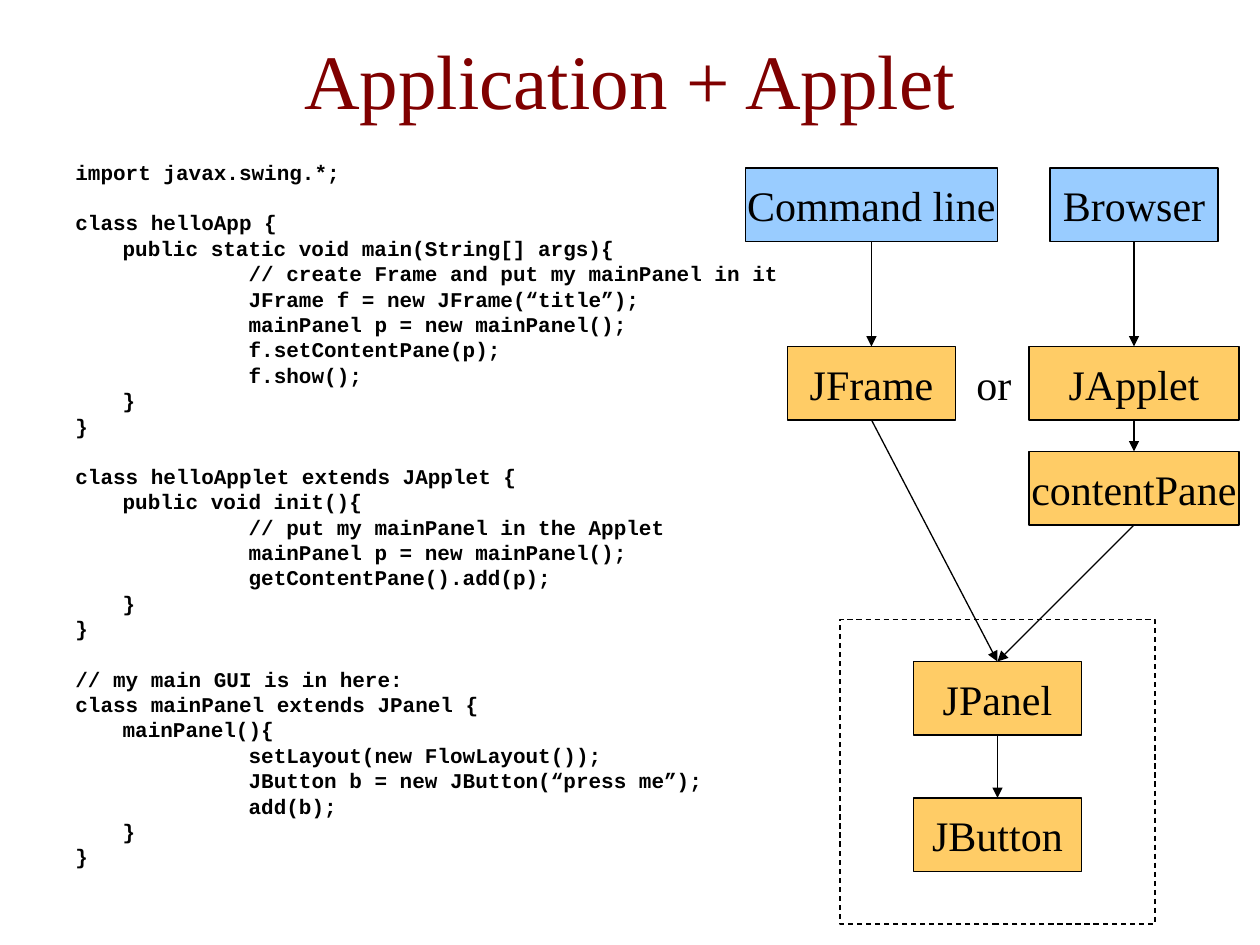
import pptx
import pptx.util
import pptx.dml.color
import pptx.enum.dml
import pptx.enum.shapes
import pptx.enum.text
import pptx.oxml
import pptx.oxml.ns

Pt = pptx.util.Pt
RGBColor = pptx.dml.color.RGBColor
PP_ALIGN = pptx.enum.text.PP_ALIGN
MSO_ANCHOR = pptx.enum.text.MSO_ANCHOR

MAROON = RGBColor(0x80, 0x00, 0x00)
BLACK = RGBColor(0x00, 0x00, 0x00)
ORANGE = RGBColor(0xFF, 0xCC, 0x66)
BLUE = RGBColor(0x99, 0xCC, 0xFF)

TITLE_FONT = {"name": "Times New Roman", "size": Pt(44)}
LABEL_FONT = {"name": "Times New Roman", "size": Pt(24)}
CODE_FONT = {"name": "Courier New", "size": Pt(12), "bold": True}

NODE_HEIGHT = 42
BLOCK_GAP = 17.2
LINE_GAP = 3
CODE_INDENT = {"marL": Pt(27), "indent": Pt(-27), "defTabSz": Pt(72)}

CODE_BLOCKS = [
    "import javax.swing.*;",
    """class helloApp {
\tpublic static void main(String[] args){
\t\t// create Frame and put my mainPanel in it
\t\tJFrame f = new JFrame(“title”);
\t\tmainPanel p = new mainPanel();
\t\tf.setContentPane(p);
\t\tf.show();
\t}
}""",
    """class helloApplet extends JApplet {
\tpublic void init(){
\t\t// put my mainPanel in the Applet
\t\tmainPanel p = new mainPanel();
\t\tgetContentPane().add(p);
\t}
}""",
    """// my main GUI is in here:
class mainPanel extends JPanel {
\tmainPanel(){
\t\tsetLayout(new FlowLayout());
\t\tJButton b = new JButton(“press me”);
\t\tadd(b);
\t}
}""",
]

# name: (centre, top, width, fill)
NODES = {
    "Command line": (72, 0, 144, BLUE),
    "Browser": (222, 0, 96, BLUE),
    "JFrame": (72, 102, 96, ORANGE),
    "JApplet": (222, 102, 120, ORANGE),
    "contentPane": (222, 162, 120, ORANGE),
    "JPanel": (144, 282, 96, ORANGE),
    "JButton": (144, 360, 96, ORANGE),
}
FLOWS = [
    ("Command line", "JFrame"),
    ("Browser", "JApplet"),
    ("JApplet", "contentPane"),
    ("JFrame", "JPanel"),
    ("contentPane", "JPanel"),
    ("JPanel", "JButton"),
]


def apply_format(target, values):
    """Set each named attribute of the target."""
    for attribute, value in values.items():
        setattr(target, attribute, value)


def write_line(paragraph, wording, font, color, **layout):
    """Write one formatted run into a paragraph."""
    apply_format(paragraph, layout)
    run = paragraph.add_run()
    run.text = wording
    apply_format(run.font, font)
    run.font.color.rgb = color


def add_text_area(slide, box, **frame_format):
    """Add a text box and return its text frame."""
    frame = slide.shapes.add_textbox(*map(Pt, box)).text_frame
    apply_format(frame, frame_format)
    return frame


def add_title(slide, box):
    """Place the centred slide title in the box."""
    title = add_text_area(slide, box, word_wrap=True, vertical_anchor=MSO_ANCHOR.MIDDLE)
    write_line(title.paragraphs[0], "Application + Applet", TITLE_FONT, MAROON,
               alignment=PP_ALIGN.CENTER)


def set_code_indent(paragraph):
    """Give a code line its hanging indent and tab stops."""
    properties = paragraph._p.get_or_add_pPr()
    for attribute, length in CODE_INDENT.items():
        properties.set(attribute, str(length))
    stops = "".join(f'<a:tab pos="{Pt(72 * inch)}" algn="l"/>' for inch in range(8))
    properties.append(pptx.oxml.parse_xml(
        f"<a:tabLst {pptx.oxml.ns.nsdecls('a')}>{stops}</a:tabLst>"))


def add_code(slide, box):
    """Place the code listing in the box, with a gap between blocks."""
    listing = add_text_area(slide, box, word_wrap=True)
    paragraph = listing.paragraphs[0]
    for block_index, block in enumerate(CODE_BLOCKS):
        for line_index, code_line in enumerate(block.split("\n")):
            starts_block = block_index > 0 and line_index == 0
            if block_index or line_index:
                paragraph = listing.add_paragraph()
            write_line(paragraph, code_line, CODE_FONT, BLACK, line_spacing=0.8,
                       space_before=Pt(BLOCK_GAP if starts_block else LINE_GAP))
            set_code_indent(paragraph)


def add_outlined_box(slide, box):
    """Add a rectangle with a thin black outline."""
    rectangle = slide.shapes.add_shape(
        pptx.enum.shapes.MSO_SHAPE.RECTANGLE, *map(Pt, box))
    rectangle.shadow.inherit = False
    rectangle.line.color.rgb = BLACK
    rectangle.line.width = Pt(0.75)
    return rectangle


def add_node(slide, box, name, fill):
    """Add one labelled, filled node."""
    node = add_outlined_box(slide, box)
    node.fill.solid()
    node.fill.fore_color.rgb = fill
    apply_format(node.text_frame, {"word_wrap": False, "vertical_anchor": MSO_ANCHOR.MIDDLE})
    write_line(node.text_frame.paragraphs[0], name, LABEL_FONT, BLACK,
               alignment=PP_ALIGN.CENTER)
    return node


def add_flow(slide, source, target):
    """Draw an arrow from the bottom of one node to the top of another."""
    arrow = slide.shapes.add_connector(
        pptx.enum.shapes.MSO_CONNECTOR.STRAIGHT, 0, 0, 0, 0)
    arrow.begin_connect(source, 2)
    arrow.end_connect(target, 0)
    arrow.line.color.rgb = BLACK
    arrow.line.width = Pt(0.75)
    namespace = pptx.oxml.ns.nsdecls("a")
    arrow.line._get_or_add_ln().append(
        pptx.oxml.parse_xml(f'<a:tailEnd {namespace} type="triangle"/>'))
    arrow._element.spPr.append(pptx.oxml.parse_xml(f"<a:effectLst {namespace}/>"))


def add_diagram(slide, box):
    """Place the containment diagram relative to the box."""
    left, top, width, height = box
    nodes = {
        name: add_node(slide, (left + centre - node_width / 2, top + offset,
                               node_width, NODE_HEIGHT), name, fill)
        for name, (centre, offset, node_width, fill) in NODES.items()
    }
    for source, target in FLOWS:
        add_flow(slide, nodes[source], nodes[target])
    alternative = add_text_area(slide, (left + 124.8, top + 105.6, 34.6, 36), word_wrap=False)
    write_line(alternative.paragraphs[0], "or", LABEL_FONT, BLACK)
    shared_gui = add_outlined_box(slide, (left + 54, top + 258, 180, height - 258))
    shared_gui.fill.background()
    shared_gui.line.dash_style = pptx.enum.dml.MSO_LINE.DASH


def main():
    """Build and save the slide."""
    deck = pptx.Presentation()
    apply_format(deck, {"slide_width": Pt(720), "slide_height": Pt(540)})
    slide = deck.slides.add_slide(deck.slide_layouts[6])
    add_title(slide, (6, 0, 708, 90))
    add_code(slide, (36, 90.5, 684, 449.5))
    add_diagram(slide, (426, 96, 282, 432))
    deck.save("out.pptx")


if __name__ == "__main__":
    main()
